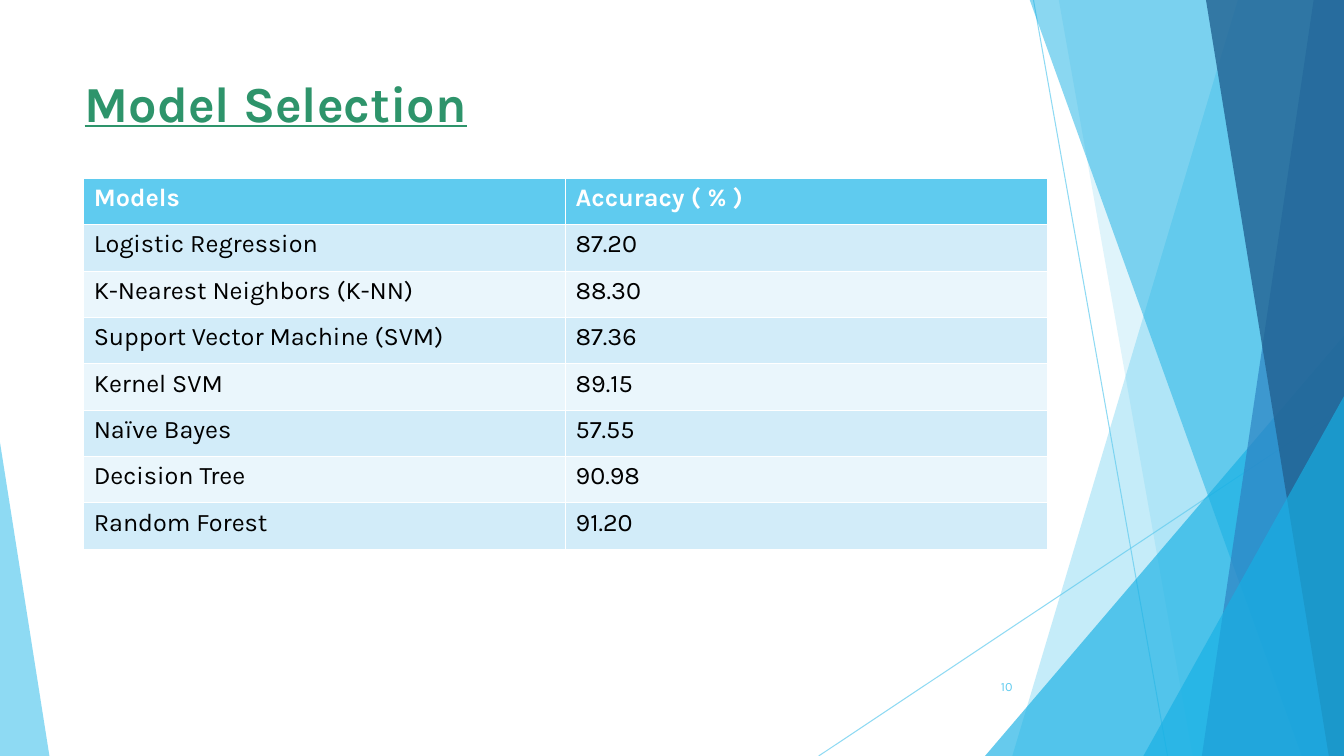
import pptx
import pptx.util
import pptx.dml.color
import pptx.enum.shapes
import pptx.enum.text
import pptx.oxml.ns
import lxml.etree

Inches = pptx.util.Inches
Pt = pptx.util.Pt

WIDTH, HEIGHT = 13.33, 7.5
BAND_TOP = -0.01
FONT = "Karla"
SKY, CYAN, BLUE, NAVY = "5FCBEF", "17B0E4", "2E83C3", "226292"
GREEN, WHITE, BLACK = "2E946B", "FFFFFF", "000000"
ROW_FILLS = ["EAF6FC", "D2ECF9"]

TITLE = "Model Selection"
PAGE_NUMBER = "10"
RESULTS = [
    ("Models", "Accuracy ( % )"),
    ("Logistic Regression", "87.20"),
    ("K-Nearest Neighbors (K-NN)", "88.30"),
    ("Support Vector Machine (SVM)", "87.36"),
    ("Kernel SVM", "89.15"),
    ("Naïve Bayes", "57.55"),
    ("Decision Tree", "90.98"),
    ("Random Forest", "91.20"),
]
TABLE_LEFT, TABLE_TOP = 0.83, 1.77
COLUMN_WIDTH, ROW_HEIGHT = 4.78, 0.46

HAIRLINES = [((10.25, 0), (11.58, HEIGHT)), ((WIDTH, 4.03), (8.12, HEIGHT))]
FACETS = [
    ("band", 12.28, 10.04, SKY, 36),
    ("band", 10.5, 11.83, SKY, 20),
    ("triangle", 9.77, 3.33, 3.56, 1, CYAN, 66),
    ("band", 10.21, 12.91, CYAN, 50),
    ("band", 13.03, 11.92, BLUE, 70),
    ("band", 11.96, 13.18, NAVY, 80),
    ("triangle", 11.34, 3.93, 1.99, 1, CYAN, 66),
    ("triangle", 0, 4.39, 0.49, 0, SKY, 70),
]


def color(value):
    return pptx.dml.color.RGBColor.from_string(value)


def set_opacity(shape, percent):
    qn = pptx.oxml.ns.qn
    for node in shape.element.spPr.iter(qn("a:srgbClr")):
        lxml.etree.SubElement(node, qn("a:alpha"), val=str(percent * 1000))


def set_font(para, size, value, bold=False):
    para.font.name = FONT
    para.font.size = Pt(size)
    para.font.bold = bold
    para.font.color.rgb = color(value)


def add_hairline(page, start, end):
    line = page.shapes.add_connector(
        pptx.enum.shapes.MSO_CONNECTOR.STRAIGHT, *map(Inches, start + end))
    line.line.color.rgb = color(SKY)
    line.line.width = Pt(0.75)
    set_opacity(line, 70)
    lxml.etree.SubElement(line.element.spPr, pptx.oxml.ns.qn("a:effectLst"))


def add_band(page, top_x, bottom_x):
    corners = [(top_x, BAND_TOP), (WIDTH, BAND_TOP), (WIDTH, HEIGHT), (bottom_x, HEIGHT)]
    points = [(Inches(x), Inches(y)) for x, y in corners]
    builder = page.shapes.build_freeform(*points[0], scale=1.0)
    builder.add_line_segments(points[1:], close=True)
    return builder.convert_to_shape()


def add_triangle(page, left, top, width, apex):
    shape = page.shapes.add_shape(
        pptx.enum.shapes.MSO_SHAPE.ISOSCELES_TRIANGLE,
        *map(Inches, (left, top, width, HEIGHT - top)))
    shape.adjustments[0] = apex
    return shape


def add_facet(page, kind, *details):
    *geometry, value, opacity = details
    shape = (add_band if kind == "band" else add_triangle)(page, *geometry)
    shape.shadow.inherit = False
    shape.fill.solid()
    shape.fill.fore_color.rgb = color(value)
    shape.line.fill.background()
    set_opacity(shape, opacity)


def add_title(page):
    title = page.shapes.title
    title.left, title.top, title.width, title.height = map(Inches, (0.74, 0.67, 9.4, 1.1))
    title.text_frame.text = TITLE
    title.text_frame.vertical_anchor = pptx.enum.text.MSO_ANCHOR.TOP
    para = title.text_frame.paragraphs[0]
    para.alignment = pptx.enum.text.PP_ALIGN.LEFT
    set_font(para, 36, GREEN, bold=True)
    para.font.underline = True


def add_results(page):
    rows, columns = len(RESULTS), len(RESULTS[0])
    table = page.shapes.add_table(
        rows, columns, Inches(TABLE_LEFT), Inches(TABLE_TOP),
        Inches(columns * COLUMN_WIDTH), Inches(rows * ROW_HEIGHT)).table
    for i, record in enumerate(RESULTS):
        header = i == 0
        for j, value in enumerate(record):
            cell = table.cell(i, j)
            cell.text = value
            cell.fill.solid()
            cell.fill.fore_color.rgb = color(SKY if header else ROW_FILLS[i % 2])
            set_font(cell.text_frame.paragraphs[0], 18, WHITE if header else BLACK, header)


def add_page_number(page):
    box = page.shapes.add_textbox(*map(Inches, (9.39, 6.61, 0.75, 0.4)))
    box.text_frame.word_wrap = True
    box.text_frame.vertical_anchor = pptx.enum.text.MSO_ANCHOR.MIDDLE
    box.text_frame.text = PAGE_NUMBER
    para = box.text_frame.paragraphs[0]
    para.alignment = pptx.enum.text.PP_ALIGN.RIGHT
    set_font(para, 9, SKY)


def main():
    deck = pptx.Presentation()
    deck.slide_width, deck.slide_height = Inches(WIDTH), Inches(HEIGHT)
    page = deck.slides.add_slide(deck.slide_layouts.get_by_name("Title Only"))
    for start, end in HAIRLINES:
        add_hairline(page, start, end)
    for facet in FACETS:
        add_facet(page, *facet)
    add_title(page)
    add_results(page)
    add_page_number(page)
    deck.save("out.pptx")


if __name__ == "__main__":
    main()
